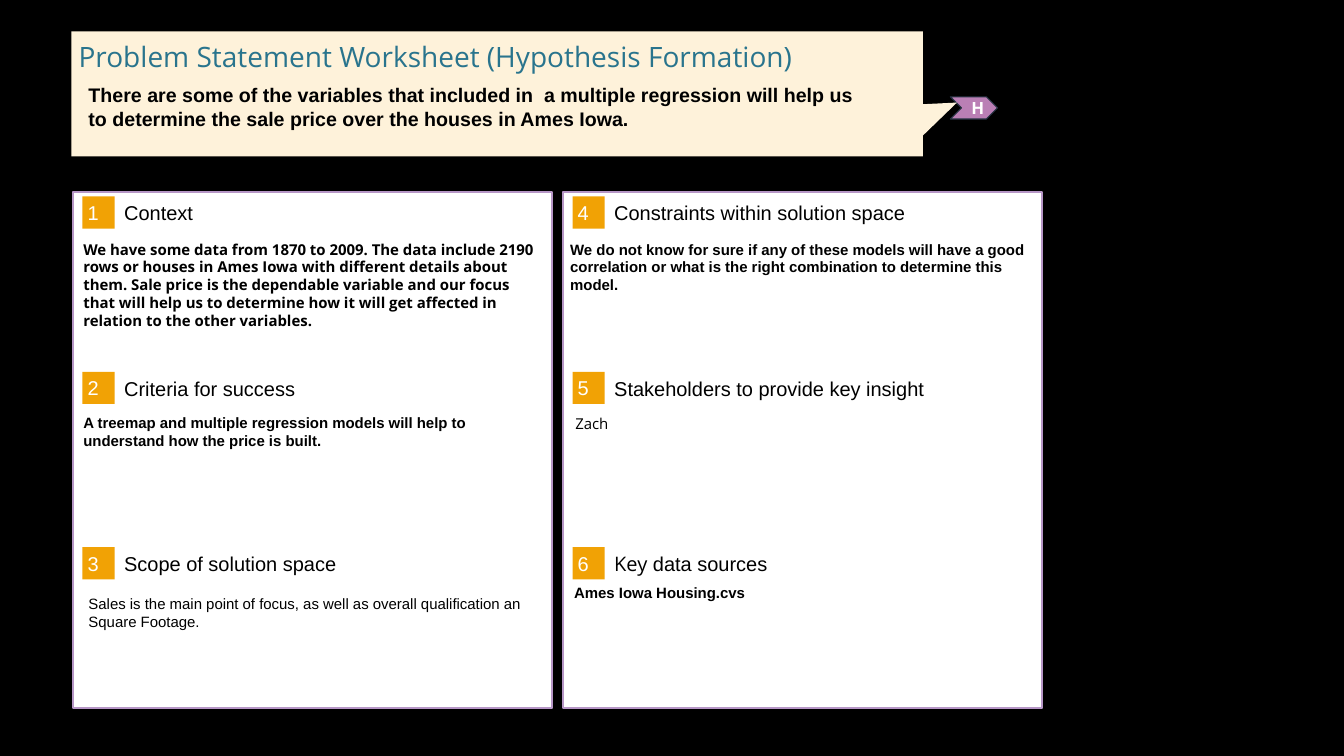
from pptx import Presentation
from pptx.dml.color import RGBColor
from pptx.enum.shapes import MSO_SHAPE as Shape
from pptx.enum.text import MSO_ANCHOR as Anchor, PP_ALIGN as Align
from pptx.util import Cm, Pt

BLACK = RGBColor(0x00, 0x00, 0x00)
WHITE = RGBColor(0xFF, 0xFF, 0xFF)
CREAM = RGBColor(0xFE, 0xF2, 0xDA)
TEAL = RGBColor(0x29, 0x74, 0x8D)
ORANGE = RGBColor(0xF1, 0xA2, 0x05)
LILAC = RGBColor(0xB6, 0x96, 0xC6)
PURPLE = RGBColor(0xBA, 0x7F, 0xB5)
NAVY = RGBColor(0x24, 0x31, 0x41)

ARIAL, OPEN_SANS = "Arial", "Open Sans"
NO_INSET, BADGE_INSET, BODY_INSET = (0, 0), (0.13, 0.13), (0.25, 0.13)
COLUMN_PITCH, ROW_PITCH = 12.35, 4.42

# Heading runs, body text, body box (left, top, height), body font, body bold
SECTIONS = [
    ([("Context", ARIAL)],
     "We have some data from 1870 to 2009. The data include 2190 rows or houses "
     "in Ames Iowa with different details about them. Sale price is the dependable "
     "variable and our focus that will help us to determine how it will get "
     "affected in relation to the other variables.",
     (1.85, 5.92, 3.45), OPEN_SANS, True),
    ([("Criteria for success", ARIAL)],
     "A treemap and multiple regression models will help to understand how the "
     "price is built.",
     (1.85, 10.29, 3.9), ARIAL, True),
    ([("Scope of solution space", ARIAL)],
     "Sales is the main point of focus, as well as overall qualification an "
     "Square Footage.",
     (1.98, 14.86, 2.08), ARIAL, False),
    ([("Constraints within solution space", ARIAL)],
     "We do not know for sure if any of these models will have a good correlation "
     "or what is the right combination to determine this model.",
     (14.12, 5.92, 3), ARIAL, True),
    ([("Stakeholders to provide key insight", ARIAL)],
     "Zach", (14.25, 10.31, 3), OPEN_SANS, False),
    ([("Key", OPEN_SANS), (" data sources", ARIAL)],
     "Ames Iowa Housing.cvs", (14.22, 14.58, 3), ARIAL, True),
]


class Worksheet:
    """Holds the text style and the current slide."""

    style = {"name": ARIAL, "size": Pt(10.7), "bold": False}

    def __init__(self, slide, background):
        """Take a slide and colour its background."""
        self.s = slide
        fill = slide.background.fill
        fill.solid()
        fill.fore_color.rgb = background

    def shape(self, kind, box, fill, line=None, width=0, adjustments=()):
        """Add a preset shape with a plain fill and an optional outline."""
        sp = self.s.shapes.add_shape(kind, *map(Cm, box))
        sp.shadow.inherit = False
        sp.fill.solid()
        sp.fill.fore_color.rgb = fill
        if line is None:
            sp.line.fill.background()
        else:
            sp.line.color.rgb = line
            sp.line.width = Pt(width)
        for i, value in enumerate(adjustments):
            sp.adjustments[i] = value
        return sp

    def label(self, sp, runs, inset=BODY_INSET, anchor=Anchor.TOP,
              align=Align.LEFT, color=BLACK, **font):
        """Fill a shape with one paragraph of (text, font name) runs."""
        tf = sp.text_frame
        side, end = map(Cm, inset)
        frame = {"word_wrap": True, "vertical_anchor": anchor,
                 "margin_left": side, "margin_right": side,
                 "margin_top": end, "margin_bottom": end}
        for key, value in frame.items():
            setattr(tf, key, value)
        p = tf.paragraphs[0]
        p.alignment = align
        for text, name in runs:
            r = p.add_run()
            r.text = text
            for key, value in {**self.style, **font, "name": name}.items():
                setattr(r.font, key, value)
            r.font.color.rgb = color

    def text(self, box, runs, **options):
        """Add a text box."""
        self.label(self.s.shapes.add_textbox(*map(Cm, box)), runs, **options)

    def section(self, index, heading, body, place, name, bold):
        """Add a numbered badge, its heading and the body text."""
        column, row = divmod(index, 3)
        dx, dy = column * COLUMN_PITCH, row * ROW_PITCH
        large = {"anchor": Anchor.MIDDLE, "size": Pt(14.3)}
        badge = self.shape(Shape.RECTANGLE,
                           (2.08 + dx, 4.95 + dy, 0.81, 0.81), ORANGE)
        self.label(badge, [(str(index + 1), ARIAL)], inset=BADGE_INSET,
                   color=WHITE, **large)
        self.text((3.13 + dx, 5.05 + dy, 9.98, 0.63), heading,
                  inset=NO_INSET, **large)
        left, top, height = place
        self.text((left, top, 12.01, height), [(body, name)], bold=bold)


def main():
    """Build the worksheet slide and save it."""
    prs = Presentation()
    prs.slide_width, prs.slide_height = Cm(33.87), Cm(19.05)
    ws = Worksheet(prs.slides.add_slide(prs.slide_layouts[6]), BLACK)

    for column in range(2):
        ws.shape(Shape.RECTANGLE,
                 (1.85 + column * COLUMN_PITCH, 4.85, 12.07, 13), WHITE, LILAC, 1.5)
    for index, section in enumerate(SECTIONS):
        ws.section(index, *section)

    tag = ws.shape(Shape.CHEVRON, (23.95, 2.44, 1.19, 0.56), PURPLE, NAVY, 0.75, [0.5])
    ws.label(tag, [("H", OPEN_SANS)], anchor=Anchor.MIDDLE, align=Align.CENTER,
             color=WHITE, size=Pt(12), bold=True)
    ws.shape(Shape.RECTANGULAR_CALLOUT, (1.8, 0.79, 21.46, 3.15), CREAM,
             adjustments=[0.54, 0.07])
    ws.text((1.98, 0.99, 24.43, 0.86),
            [("Problem Statement Worksheet (Hypothesis Formation)", OPEN_SANS)],
            inset=NO_INSET, color=TEAL, size=Pt(20))
    ws.text((1.98, 1.96, 19.96, 1.37),
            [("There are some of the variables that included in  a multiple regression "
              "will help us to determine the sale price over the houses in Ames Iowa.",
              ARIAL)], size=Pt(14), bold=True)

    prs.save("out.pptx")


main()
